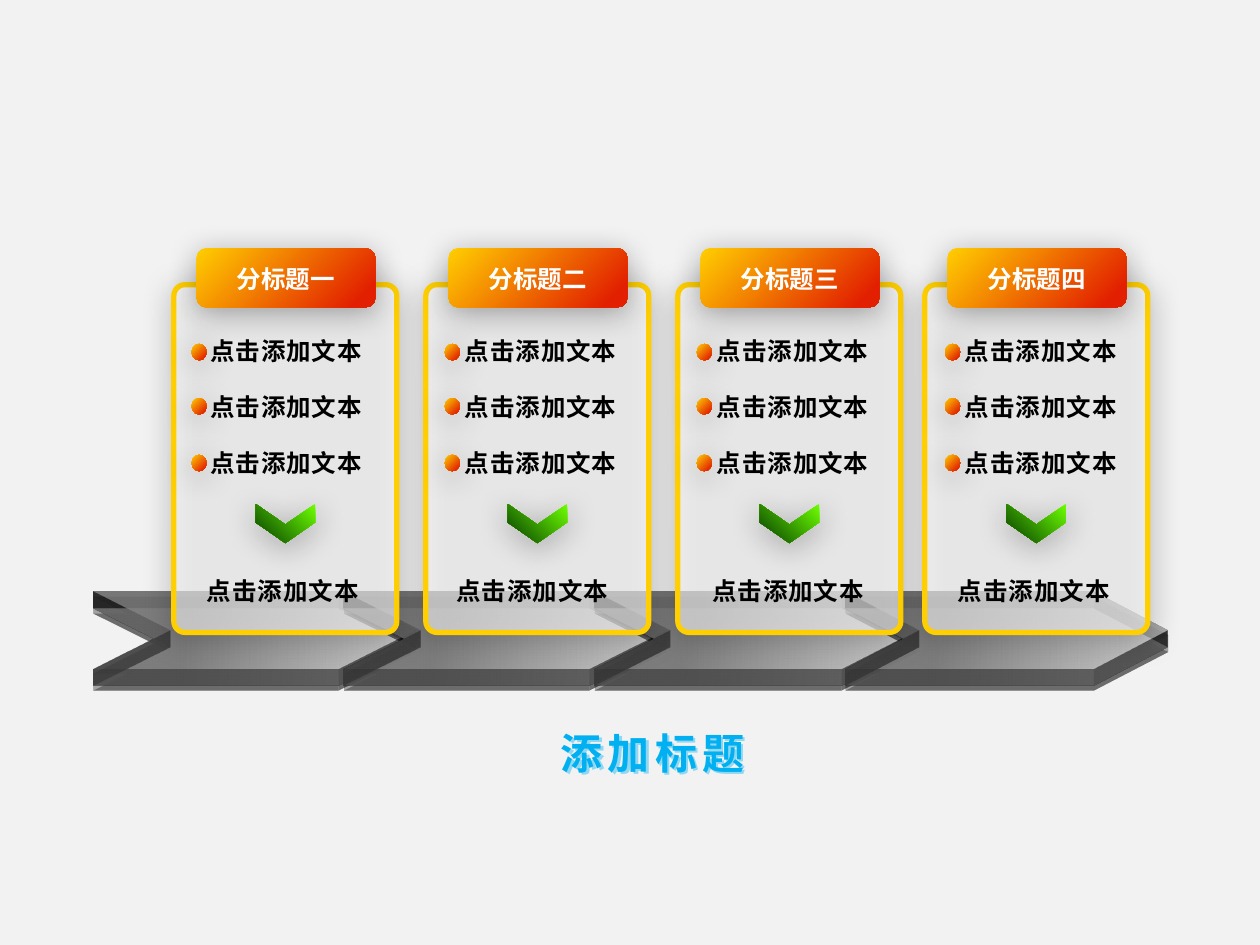
from dataclasses import dataclass
from typing import Optional

from pptx import Presentation
from pptx.dml.color import RGBColor
from pptx.enum.shapes import MSO_SHAPE as Shape
from pptx.enum.text import MSO_ANCHOR as Anchor, MSO_AUTO_SIZE as AutoSize, PP_ALIGN as Align
from pptx.oxml import parse_xml
from pptx.oxml.ns import nsdecls
from pptx.util import Inches, Pt

WIDTH, HEIGHT = 10, 7.5
FONT = "Noto Sans CJK SC"
ITEM = "点击添加文本"
WARM = ((0, "FFCF01"), (90, "E22000"))
GREEN = ((0, "6EFF01"), (90, "0F5000"))
GREY = ((25, "808080"), (100, "D9D9D9"))
TITLE_BLUE = ((10, "00B0F0"), (75, "002774"))
ITEM_TOPS = (2.62, 3.06, 3.51)
DOT_TOPS = (2.73, 3.16, 3.61)
STEP_LEFT, STEP_PITCH = 0.74, 1.99


@dataclass
class Card:
    """One column; every left edge is in inches."""
    heading: str
    left: float
    dot_left: float
    item_left: float
    result_left: float
    step_adjust: float


CARDS = (
    Card("分标题一", 1.38, 1.52, 1.57, 1.35, 0.26),
    Card("分标题二", 3.38, 3.53, 3.59, 3.33, 0.26),
    Card("分标题三", 5.38, 5.53, 5.59, 5.36, 0.255),
    Card("分标题四", 7.34, 7.50, 7.56, 7.31, 0.249),
)


def colour(value: str) -> RGBColor:
    return RGBColor.from_string(value)


def element(xml: str):
    """Parse one DrawingML element written without its namespace declaration."""
    return parse_xml(f"<a:wrap {nsdecls('a')}>{xml}</a:wrap>")[0]


def gradient(fill, parent, stops: tuple, angle: float) -> None:
    """Give the fill held by the parent element a linear gradient."""
    fill.solid()
    marks = "".join(f'<a:gs pos="{position * 1000}"><a:srgbClr val="{value}"/></a:gs>'
                    for position, value in stops)
    parent.replace(parent.xpath("./a:solidFill")[0], element(
        f'<a:gradFill><a:gsLst>{marks}</a:gsLst>'
        f'<a:lin ang="{int(angle * 60000)}" scaled="0"/></a:gradFill>'))


def set_opacity(shape, percent: int) -> None:
    for node in shape.element.spPr.xpath("./a:solidFill/a:srgbClr | ./a:gradFill//a:srgbClr"):
        node.append(element(f'<a:alpha val="{percent * 1000}"/>'))


def add_shadow(shape, value: str = "000000", opacity: int = 33,
               blur: float = 17.8, distance: float = 3, angle: int = 87) -> None:
    shape.element.spPr.append(element(
        f'<a:effectLst><a:outerShdw blurRad="{Pt(blur)}" dist="{Pt(distance)}" '
        f'dir="{angle * 60000}" algn="ctr" rotWithShape="0"><a:srgbClr val="{value}">'
        f'<a:alpha val="{opacity * 1000}"/></a:srgbClr></a:outerShdw></a:effectLst>'))


def add_block(page, kind, left: float, top: float, width: float, height: float, *,
              stops: tuple = (), angle: float = 45, solid: str = "FFFFFF",
              opacity: Optional[int] = None, adjust: Optional[float] = None,
              outline: tuple = (), rotation: float = 0):
    shape = page.shapes.add_shape(kind, Inches(left), Inches(top), Inches(width), Inches(height))
    shape.rotation = rotation
    if adjust is not None:
        shape.adjustments[0] = adjust
    if stops:
        gradient(shape.fill, shape.element.spPr, stops, angle)
    else:
        shape.fill.solid()
        shape.fill.fore_color.rgb = colour(solid)
    if opacity is not None:
        set_opacity(shape, opacity)
    if outline:
        shape.line.width = Pt(3)
        gradient(shape.line.fill, shape.element.spPr.xpath("./a:ln")[0], outline, 45)
    else:
        shape.line.fill.background()
    add_shadow(shape)
    return shape


def write(box, text: str, *, size: float = 14, value: str = "000000", align=Align.LEFT,
          spacing: float = 0, level: int = 0):
    """Fill a box with one bold line and return its run."""
    frame = box.text_frame
    frame.word_wrap = True
    frame.auto_size = AutoSize.SHAPE_TO_FIT_TEXT
    frame.vertical_anchor = Anchor.TOP
    para = frame.paragraphs[0]
    para.alignment = align
    if level:
        para.level = level
        properties = para._p.get_or_add_pPr()
        properties.set("marL", "0")
        properties.set("indent", "0")
        properties.append(element(
            f'<a:tabLst><a:tab pos="{Inches(0.15)}" algn="l"/></a:tabLst>'))
    span = para.add_run()
    span.text = text
    span.font.size, span.font.bold, span.font.name = Pt(size), True, FONT
    span.font.color.rgb = colour(value)
    run_properties = span._r.get_or_add_rPr()
    run_properties.append(element(f'<a:ea typeface="{FONT}"/>'))
    if spacing:
        run_properties.set("spc", str(int(spacing * 100)))
    return span


def add_label(page, text: str, left: float, top: float, width: float, **style) -> None:
    box = page.shapes.add_textbox(Inches(left), Inches(top), Inches(width), Inches(0.34))
    write(box, text, **style)


def add_step(page, index: int, card: Card) -> None:
    """A chevron laid flat as a slab of the floor."""
    slab = add_block(page, Shape.CHEVRON, STEP_LEFT + index * STEP_PITCH, 3.82, 2.56, 2.36,
                     stops=GREY, angle=0, opacity=50, adjust=card.step_adjust)
    slab.element.spPr.append(element(
        '<a:scene3d><a:camera prst="orthographicFront"><a:rot lat="17100000" lon="0" rev="0"/>'
        '</a:camera><a:lightRig rig="threePt" dir="t"/></a:scene3d>'))
    slab.element.spPr.append(element(f'<a:sp3d extrusionH="{Pt(10)}"/>'))


def add_card(page, card: Card) -> None:
    add_block(page, Shape.ROUNDED_RECTANGLE, card.left, 2.26, 1.77, 2.76,
              opacity=60, adjust=0.05, outline=WARM)
    add_block(page, Shape.ROUNDED_RECTANGLE, card.left + 0.18, 1.97, 1.42, 0.47, stops=WARM)
    add_label(page, card.heading, card.left + 0.13, 2.05, 1.52, value="FFFFFF", align=Align.CENTER)
    add_block(page, Shape.CHEVRON, card.left + 0.73, 3.92, 0.31, 0.47,
              stops=GREEN, adjust=0.525, rotation=90)
    for item_top, dot_top in zip(ITEM_TOPS, DOT_TOPS):
        add_label(page, ITEM, card.item_left, item_top, 1.56, spacing=0.5, level=2)
        add_block(page, Shape.OVAL, card.dot_left, dot_top, 0.12, 0.13, stops=WARM)
    add_label(page, ITEM, card.result_left, 4.52, 1.79, spacing=0.5, level=2, align=Align.CENTER)


def add_title(page) -> None:
    title = page.shapes.title
    title.left, title.top, title.width, title.height = map(Inches, (3.29, 5.72, 3.78, 0.5))
    span = write(title, "添加标题", size=24, spacing=3, align=Align.CENTER)
    run_properties = span._r.get_or_add_rPr()
    gradient(span.font.fill, run_properties, TITLE_BLUE, 90)
    run_properties.insert(0, element(
        f'<a:ln w="{Pt(1)}"><a:solidFill><a:srgbClr val="F9FCFC"/></a:solidFill></a:ln>'))
    add_shadow(title, "00B0F0", 40, 0, 2, 45)


def main() -> None:
    deck = Presentation()
    deck.slide_width, deck.slide_height = Inches(WIDTH), Inches(HEIGHT)
    page = deck.slides.add_slide(deck.slide_layouts[5])
    page.background.fill.solid()
    page.background.fill.fore_color.rgb = colour("F2F2F2")

    # Floor first, then the cards standing on it
    for index, card in enumerate(CARDS):
        add_step(page, index, card)
    for card in CARDS:
        add_card(page, card)
    add_title(page)
    deck.save("out.pptx")


if __name__ == "__main__":
    main()
